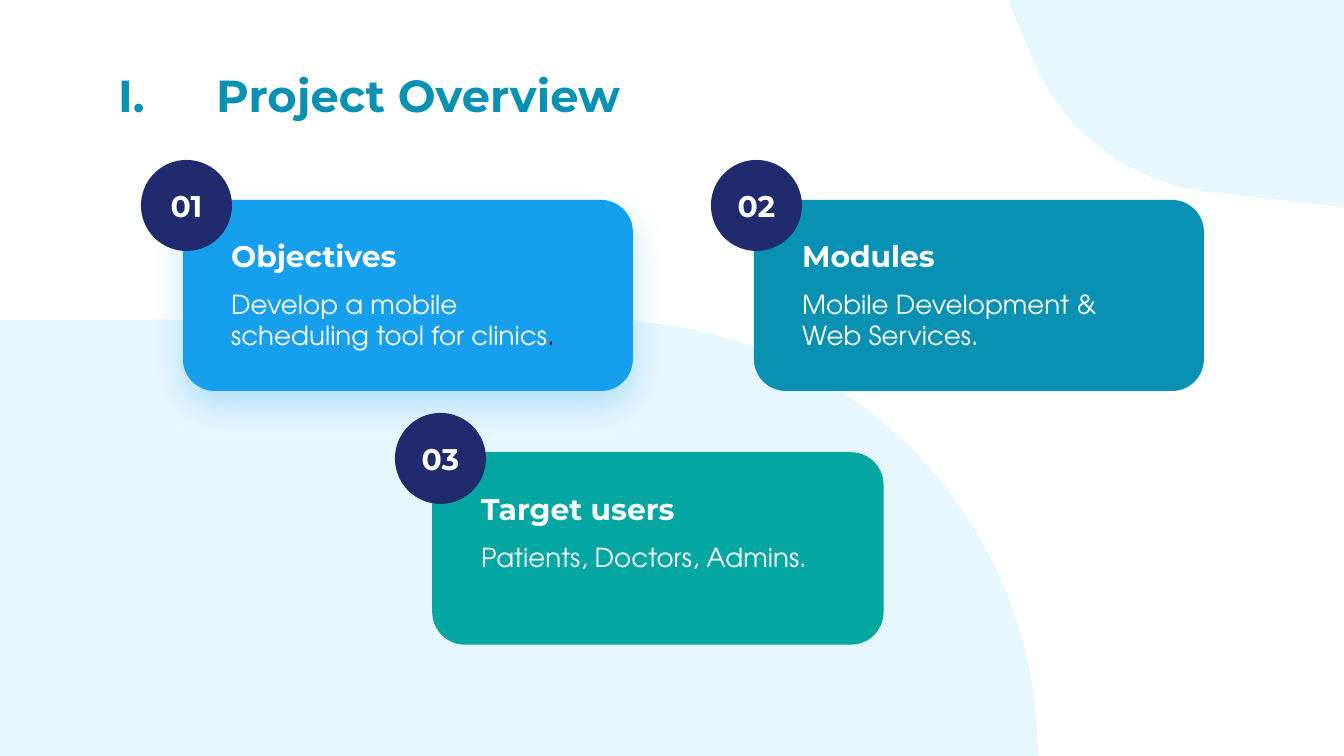
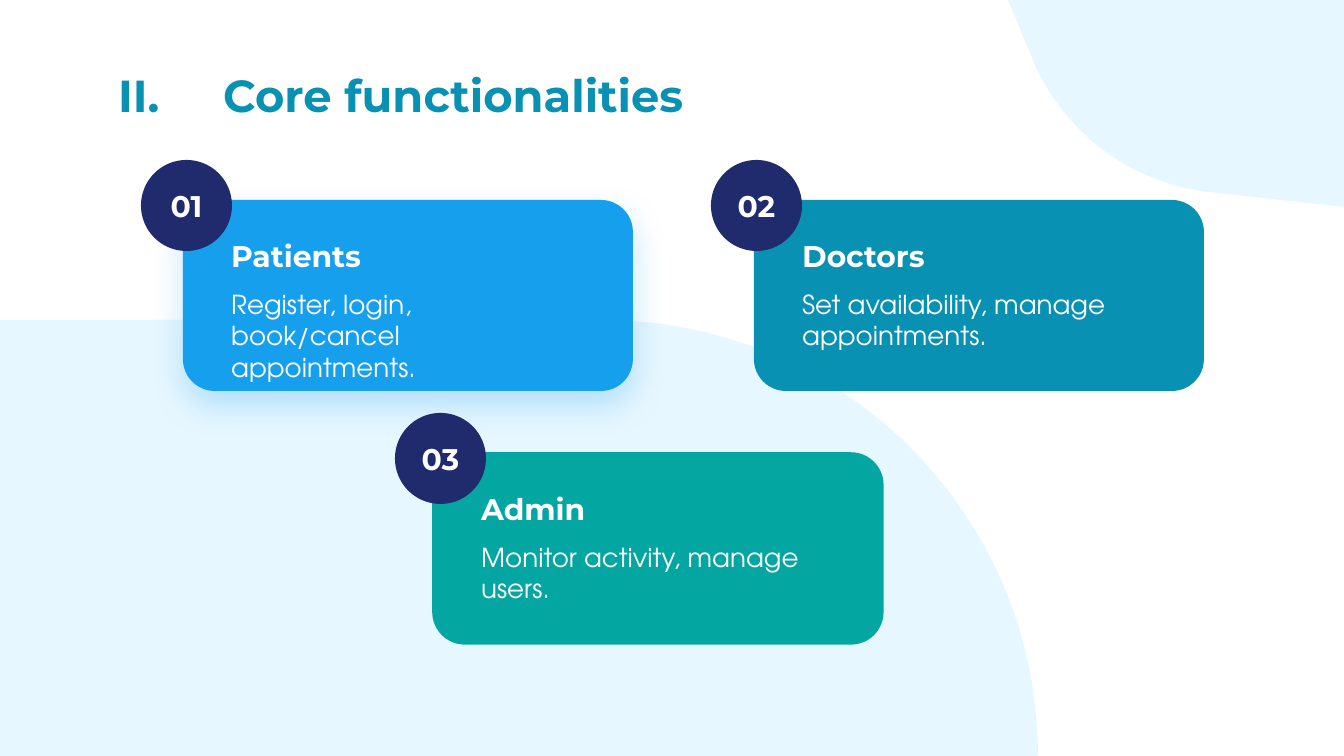
import pptx
import pptx.dml.color
import pptx.enum.shapes
import pptx.enum.text
import pptx.oxml.ns
import pptx.util
from lxml import etree

PX = 914400 / 134.4
HEADING_FONT = "Montserrat"
BODY_FONT = "TeX Gyre Adventor"
WHITE, BLACK = "FFFFFF", "000000"
PALE, NAVY = "E7F7FF", "1F2B6C"
BLUE, CYAN, TEAL = "159FED", "0891B2", "03A6A1"

CARD_WIDTH, CARD_HEIGHT = 450, 191
BADGE_SIZE = 91
CARD_STYLES = [
    {"left": 183, "top": 200, "fill": BLUE, "badge_shift": 42, "shadow": True},
    {"left": 754, "top": 200, "fill": CYAN, "badge_shift": 43},
    {"left": 433, "top": 453, "fill": TEAL, "badge_shift": 38, "outlined": True},
]

SLIDES = [
    ("I.", "Project Overview", 98, [
        ("Objectives", [("Develop a mobile scheduling tool for clinics", WHITE), (".", BLACK)]),
        ("Modules", [("Mobile Development & Web Services.", WHITE)]),
        ("Target users", [("Patients, Doctors, Admins.", WHITE)]),
    ]),
    ("II.", "Core functionalities", 105, [
        ("Patients", [("Register, login, book/cancel appointments.", WHITE)]),
        ("Doctors", [("Set availability, manage appointments.", WHITE)]),
        ("Admin", [("Monitor activity, manage users.", WHITE)]),
    ]),
]


def px(value):
    return pptx.util.Emu(round(value * PX))


def color(hex_string):
    return pptx.dml.color.RGBColor.from_string(hex_string)


def paint(shape, fill):
    shape.shadow.inherit = False
    shape.fill.solid()
    shape.fill.fore_color.rgb = color(fill)
    shape.line.fill.background()


def add_filled_shape(slide, kind, left, top, width, height, fill):
    shape = slide.shapes.add_shape(kind, px(left), px(top), px(width), px(height))
    paint(shape, fill)
    return shape


def add_soft_shadow(shape, hex_string):
    qn = pptx.oxml.ns.qn
    effects = shape.element.spPr.find(qn("a:effectLst"))
    shadow = etree.SubElement(
        effects, qn("a:outerShdw"), blurRad=str(pptx.util.Pt(18)),
        dist=str(pptx.util.Pt(7.5)), dir="5400000", algn="bl", rotWithShape="0")
    shade = etree.SubElement(shadow, qn("a:srgbClr"), val=hex_string)
    etree.SubElement(shade, qn("a:alpha"), val="25000")


def add_text(slide, left, top, width, height, runs, size, font=HEADING_FONT,
             bold=True, centered=False, tab=None):
    box = slide.shapes.add_textbox(px(left), px(top), px(width), px(height))
    frame = box.text_frame
    frame.word_wrap = True
    frame.margin_left = frame.margin_right = pptx.util.Inches(0.1)
    frame.margin_top = frame.margin_bottom = pptx.util.Inches(0.1)
    paragraph = frame.paragraphs[0]
    if centered:
        frame.vertical_anchor = pptx.enum.text.MSO_ANCHOR.MIDDLE
        paragraph.alignment = pptx.enum.text.PP_ALIGN.CENTER
    if tab:
        qn = pptx.oxml.ns.qn
        tabs = etree.SubElement(paragraph._p.get_or_add_pPr(), qn("a:tabLst"))
        etree.SubElement(tabs, qn("a:tab"), pos=str(px(tab)), algn="l")
    for text, hex_string in runs:
        run = paragraph.add_run()
        run.text = text
        run.font.name = font
        run.font.size = pptx.util.Pt(size)
        run.font.bold = bold
        run.font.color.rgb = color(hex_string)


def curve(start, control_1, control_2, end, steps=40):
    points = []
    for step in range(steps + 1):
        t = step / steps
        weights = ((1 - t) ** 3, 3 * t * (1 - t) ** 2, 3 * t * t * (1 - t), t ** 3)
        corners = (start, control_1, control_2, end)
        points.append(tuple(
            sum(weight * corner[axis] for weight, corner in zip(weights, corners))
            for axis in (0, 1)))
    return points


def add_blob(slide, points):
    scaled = [(px(x), px(y)) for x, y in points]
    builder = slide.shapes.build_freeform(*scaled[0])
    builder.add_line_segments(scaled[1:], close=True)
    paint(builder.convert_to_shape(), PALE)


def add_background(slide):
    slide.background.fill.solid()
    slide.background.fill.fore_color.rgb = color(WHITE)
    add_blob(slide, [(0, 320), (0, 756)]
             + curve((1038, 756), (1038, 515), (843, 320), (602, 320)))
    add_blob(slide, [(1344, 207), (1344, 0), (1008, 0)]
             + curve((1035, 65), (1066, 134), (1132, 183), (1208, 192)))


def add_title(slide, numeral, title, tab):
    add_text(slide, 105, 54, 1134, 85, [(f"{numeral}\t{title}", CYAN)], 24, tab=tab)


def add_card(slide, number, heading, body, left, top, fill, badge_shift,
             shadow=False, outlined=False):
    kinds = pptx.enum.shapes.MSO_SHAPE
    card = add_filled_shape(slide, kinds.ROUNDED_RECTANGLE, left, top,
                            CARD_WIDTH, CARD_HEIGHT, fill)
    card.adjustments[0] = 0.167
    if shadow:
        add_soft_shadow(card, fill)
    if outlined:
        card.line.color.rgb = color(fill)
        card.line.width = pptx.util.Pt(0.75)
    badge_left, badge_top = left - badge_shift, top - 40
    add_filled_shape(slide, kinds.OVAL, badge_left, badge_top, BADGE_SIZE, BADGE_SIZE, NAVY)
    add_text(slide, left + 35, top + 24, 380, 62, [(heading, WHITE)], 16)
    add_text(slide, left + 35, top + 75, 380, 91, body, 14, font=BODY_FONT, bold=False)
    add_text(slide, badge_left + 6, badge_top + 15, 79, 62, [(f"{number:02d}", WHITE)], 16,
             centered=True)


def main():
    presentation = pptx.Presentation()
    presentation.slide_width = px(1344)
    presentation.slide_height = px(756)
    for numeral, title, tab, cards in SLIDES:
        slide = presentation.slides.add_slide(presentation.slide_layouts[6])
        add_background(slide)
        add_title(slide, numeral, title, tab)
        for number, ((heading, body), style) in enumerate(zip(cards, CARD_STYLES), 1):
            add_card(slide, number, heading, body, **style)
    presentation.save("out.pptx")


if __name__ == "__main__":
    main()
